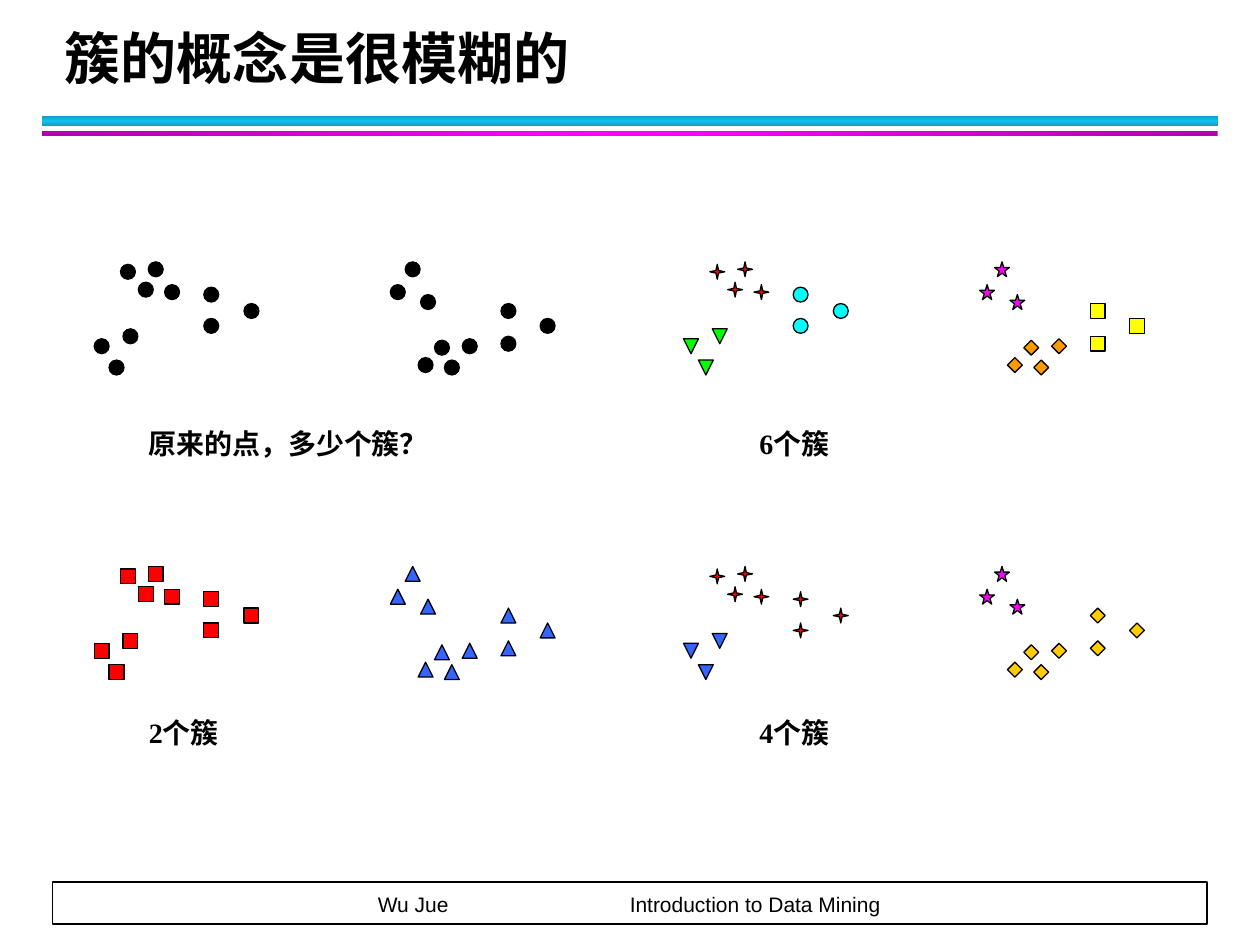
"""Build the slide showing that the notion of a cluster is ambiguous."""
from copy import deepcopy

from pptx import Presentation
from pptx.dml.color import RGBColor
from pptx.enum.shapes import MSO_SHAPE as Shape
from pptx.enum.text import MSO_ANCHOR as Anchor, PP_ALIGN as Align
from pptx.oxml.ns import qn
from pptx.util import Cm, Inches, Pt

BLACK = RGBColor(0x00, 0x00, 0x00)
WHITE = RGBColor(0xFF, 0xFF, 0xFF)
RED = RGBColor(0xFF, 0x00, 0x00)
BLUE = RGBColor(0x33, 0x66, 0xFF)
GREEN = RGBColor(0x00, 0xFF, 0x00)
CYAN = RGBColor(0x00, 0xFF, 0xFF)
MAGENTA = RGBColor(0xFF, 0x00, 0xFF)
YELLOW = RGBColor(0xFF, 0xFF, 0x00)
ORANGE = RGBColor(0xFF, 0x99, 0x00)
GOLD = RGBColor(0xFF, 0xCC, 0x00)
TEAL_DARK = RGBColor(0x0E, 0x9B, 0xBA)
TEAL = RGBColor(0x12, 0xC2, 0xE9)
PURPLE = RGBColor(0xB2, 0x00, 0xB2)

TITLE = "簇的概念是很模糊的"
FOOTER = "Wu Jue\t\tIntroduction to Data Mining"

RULES = [
    ((0.85, 2.33, 23.7, 0.22), 90, (TEAL_DARK, TEAL, TEAL_DARK)),
    ((0.85, 2.64, 23.7, 0.1), 0, (PURPLE, MAGENTA, PURPLE)),
]

CLUSTERS = {
    "lower right": [(7.42, 1.55), (6.53, 1.93), (7.06, 1.98), (6.86, 1.58)],
    "upper right": [(6.58, 0.66), (5.97, 0.46), (6.27, 0)],
    "far right": [(8.2, 1.5), (8.99, 1.14), (8.2, 0.84)],
    "upper left": [(1.42, 0.46), (0.53, 0.05), (1.09, 0), (0.89, 0.41)],
    "lower left": [(0.58, 1.35), (0, 1.55), (0.3, 1.98)],
    "middle": [(2.21, 0.51), (3.02, 0.84), (2.21, 1.14)],
}

DOT = (Shape.OVAL, BLACK)
CROSS = (Shape.STAR_4_POINT, RED)
STAR = (Shape.STAR_5_POINT, MAGENTA)
SQUARE = (Shape.RECTANGLE, RED)
TRIANGLE = (Shape.ISOSCELES_TRIANGLE, BLUE)
DIAMOND = (Shape.DIAMOND, GOLD)

PANELS = [
    ("原来的点，多少个簇？", 0, 0, [DOT] * 6),
    ("4个簇", 1, 1,
     [DIAMOND, STAR, DIAMOND, CROSS, (Shape.FLOWCHART_MERGE, BLUE), CROSS]),
    ("2个簇", 0, 1, [TRIANGLE] * 3 + [SQUARE] * 3),
    ("6个簇", 1, 0,
     [(Shape.DIAMOND, ORANGE), STAR, (Shape.RECTANGLE, YELLOW), CROSS,
      (Shape.FLOWCHART_MERGE, GREEN), (Shape.OVAL, CYAN)]),
]

PANEL_LEFT, PANEL_TOP = 1.9, 5.28
PANEL_STEP_X, PANEL_STEP_Y = 11.88, 6.14
MARKER = 0.3
CAPTION_DX, CAPTION_TOP, CAPTION_STEP_Y = 0.85, 8.47, 5.84


def add_figure(shapes, kind, box, color=None, line_width=None):
    figure = shapes.add_shape(kind, *map(Cm, box))
    figure.shadow.inherit = False
    if color is not None:
        figure.fill.solid()
        figure.fill.fore_color.rgb = color
    if line_width:
        figure.line.color.rgb = BLACK
        figure.line.width = Pt(line_width)
    else:
        figure.line.fill.background()
    return figure


def add_rule(shapes, box, angle, colors):
    rule = add_figure(shapes, Shape.RECTANGLE, box)
    rule.fill.gradient()
    rule.fill.gradient_angle = angle
    stop_list = rule._element.spPr.find(".//" + qn("a:gsLst"))
    stop_list.append(deepcopy(stop_list[0]))
    for stop, position, color in zip(rule.fill.gradient_stops, (0, 0.5, 1), colors):
        stop.position = position
        stop.color.rgb = color


def add_text(shapes, text, box, size, font, bold=True, anchor=Anchor.TOP, spacing=None):
    label = shapes.add_textbox(*map(Cm, box))
    frame = label.text_frame
    frame.word_wrap = True
    frame.vertical_anchor = anchor
    frame.text = text
    paragraph = frame.paragraphs[0]
    if spacing:
        paragraph.line_spacing = Pt(spacing)
    for run in paragraph.runs:
        run.font.size = Pt(size)
        run.font.name = font
        run.font.bold = bold
        run.font.color.rgb = BLACK
    return frame


def add_footer(shapes):
    add_figure(shapes, Shape.RECTANGLE, (1.06, 17.78, 23.28, 0.85), WHITE, 1)
    frame = add_text(shapes, FOOTER, (1.06, 17.78, 23.25, 0.71), 12, "Arial",
                     False, Anchor.BOTTOM, 20)
    frame.margin_left = frame.margin_right = frame.margin_top = frame.margin_bottom = 0
    paragraph = frame.paragraphs[0]
    paragraph.alignment = Align.CENTER
    tab_list = paragraph._p.get_or_add_pPr().makeelement(qn("a:tabLst"), {})
    paragraph._p.pPr.append(tab_list)
    for inch in range(8):
        tab = tab_list.makeelement(qn("a:tab"), {"pos": str(Inches(inch)), "algn": "l"})
        tab_list.append(tab)


def add_panel(slide, caption, column, row, markers):
    shapes = slide.shapes.add_group_shape().shapes
    left = PANEL_LEFT + column * PANEL_STEP_X
    top = PANEL_TOP + row * PANEL_STEP_Y
    for points, (kind, color) in zip(CLUSTERS.values(), markers):
        for x, y in points:
            add_figure(shapes, kind, (left + x, top + y, MARKER, MARKER), color, 0.75)
    caption_left = left + CAPTION_DX + column * 0.43
    caption_top = CAPTION_TOP + row * CAPTION_STEP_Y
    add_text(shapes, caption, (caption_left, caption_top, 6.35, 0.93),
             16, "Times New Roman")


def main():
    deck = Presentation()
    deck.slide_width, deck.slide_height = Cm(25.4), Cm(19.05)
    slide = deck.slides.add_slide(deck.slide_layouts[6])
    for box, angle, colors in RULES:
        add_rule(slide.shapes, box, angle, colors)
    add_footer(slide.shapes)
    add_text(slide.shapes, TITLE, (1.06, 0.42, 23, 1.53), 32, "Cabin",
             anchor=Anchor.BOTTOM, spacing=36)
    for panel in PANELS:
        add_panel(slide, *panel)
    deck.save("out.pptx")


if __name__ == "__main__":
    main()
